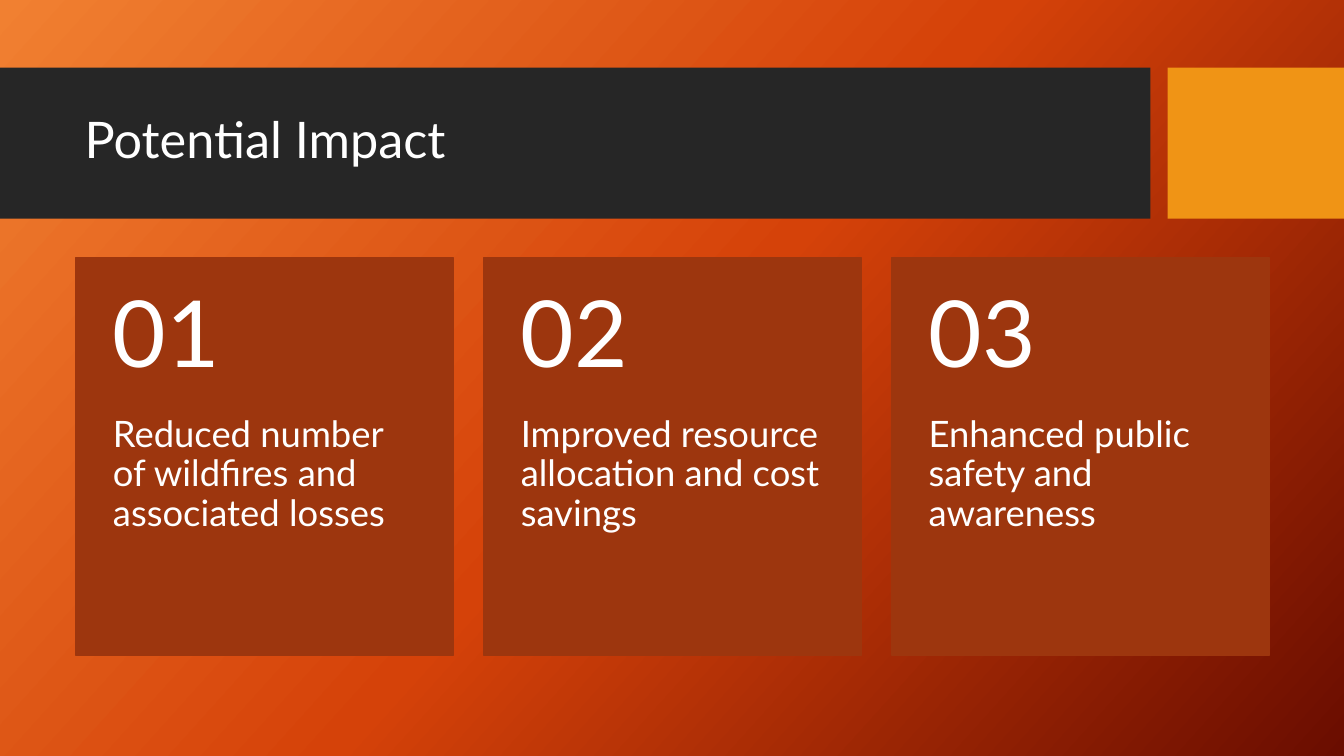
from copy import deepcopy

from pptx import Presentation
from pptx.dml.color import RGBColor
from pptx.enum.shapes import MSO_SHAPE
from pptx.enum.text import MSO_ANCHOR as ANCHOR, MSO_AUTO_SIZE as AUTO, PP_ALIGN as ALIGN
from pptx.oxml.ns import qn
from pptx.util import Inches, Pt

FONT = "Lato"
WHITE, CHARCOAL, AMBER, RUST = "FFFFFF", "262626", "F09415", "9D360E"
BACKDROP = [(0, "F18031"), (0.5, "D54209"), (1, "6A0D00")]
BACKDROP_ANGLE = 42
IMPACTS = [
    "Reduced number of wildfires and associated losses",
    "Improved resource allocation and cost savings",
    "Enhanced public safety and awareness",
]
CARD_W, CARD_GAP = 3.75, 0.295
NUMBER_H = 1.57


def rgb(color):
    return RGBColor.from_string(color)


def add_rect(shapes, x, y, w, h, color, outlined=False):
    sp = shapes.add_shape(MSO_SHAPE.RECTANGLE, Inches(x), Inches(y), Inches(w), Inches(h))
    sp.shadow.inherit = False
    sp.fill.solid()
    sp.fill.fore_color.rgb = rgb(color)
    if outlined:
        sp.line.color.rgb = rgb(color)
        sp.line.width = Pt(1)
    else:
        sp.line.fill.background()


def write(sp, text, size, anchor, insets):
    """Put one left-aligned white run in sp; insets are left, top, right, bottom."""
    tf = sp.text_frame
    tf.word_wrap = True
    tf.auto_size = AUTO.NONE
    tf.vertical_anchor = anchor
    tf.margin_left, tf.margin_top, tf.margin_right, tf.margin_bottom = map(Inches, insets)
    p = tf.paragraphs[0]
    p.alignment = ALIGN.LEFT
    p.line_spacing = 0.9
    r = p.add_run()
    r.text = text
    r.font.name = FONT
    r.font.size = Pt(size)
    r.font.color.rgb = rgb(WHITE)


def paint_background(s):
    fill = s.background.fill
    fill.gradient()
    fill.gradient_angle = 360 - BACKDROP_ANGLE
    stop_list = next(s.element.iter(qn("a:gsLst")))
    stop_list.append(deepcopy(stop_list[-1]))
    for stop, (position, color) in zip(fill.gradient_stops, BACKDROP):
        stop.position = position
        stop.color.rgb = rgb(color)


def add_title_band(s, text, x, y, w, h):
    tab_w, gap = 1.75, 0.17
    band_w = w - tab_w - gap
    add_rect(s.shapes, x, y, band_w, h, CHARCOAL)
    add_rect(s.shapes, x + w - tab_w, y, tab_w, h, AMBER)
    title = s.shapes.title
    title.left, title.top = Inches(x + 0.74), Inches(y + 0.15)
    title.width, title.height = Inches(band_w - 0.9), Inches(1.18)
    write(title, text, 36, ANCHOR.MIDDLE, (0.1, 0.05, 0.1, 0.05))
    s.shapes.element.append(title.element)  # bring in front of the band


def add_card(s, number, text, x, y, w, h):
    shapes = s.shapes.add_group_shape().shapes
    add_rect(shapes, x, y, w, h, RUST, outlined=True)
    body = shapes.add_textbox(Inches(x), Inches(y + NUMBER_H), Inches(w), Inches(h - NUMBER_H))
    write(body, text, 26, ANCHOR.TOP, (0.37, 0, 0.37, 0.36))
    head = shapes.add_textbox(Inches(x), Inches(y), Inches(w), Inches(NUMBER_H))
    write(head, f"{number:02}", 66, ANCHOR.MIDDLE, (0.37, 0.18, 0.37, 0.18))


def add_cards(s, impacts, x, y, h):
    for i, text in enumerate(impacts):
        add_card(s, i + 1, text, x + i * (CARD_W + CARD_GAP), y, CARD_W, h)


def main():
    prs = Presentation()
    prs.slide_width, prs.slide_height = Inches(13.33), Inches(7.5)
    s = prs.slides.add_slide(prs.slide_layouts.get_by_name("Title Only"))
    paint_background(s)
    add_title_band(s, "Potential Impact", 0, 0.67, 13.33, 1.5)
    add_cards(s, IMPACTS, 0.75, 2.56, 3.94)
    prs.save("out.pptx")


if __name__ == "__main__":
    main()
